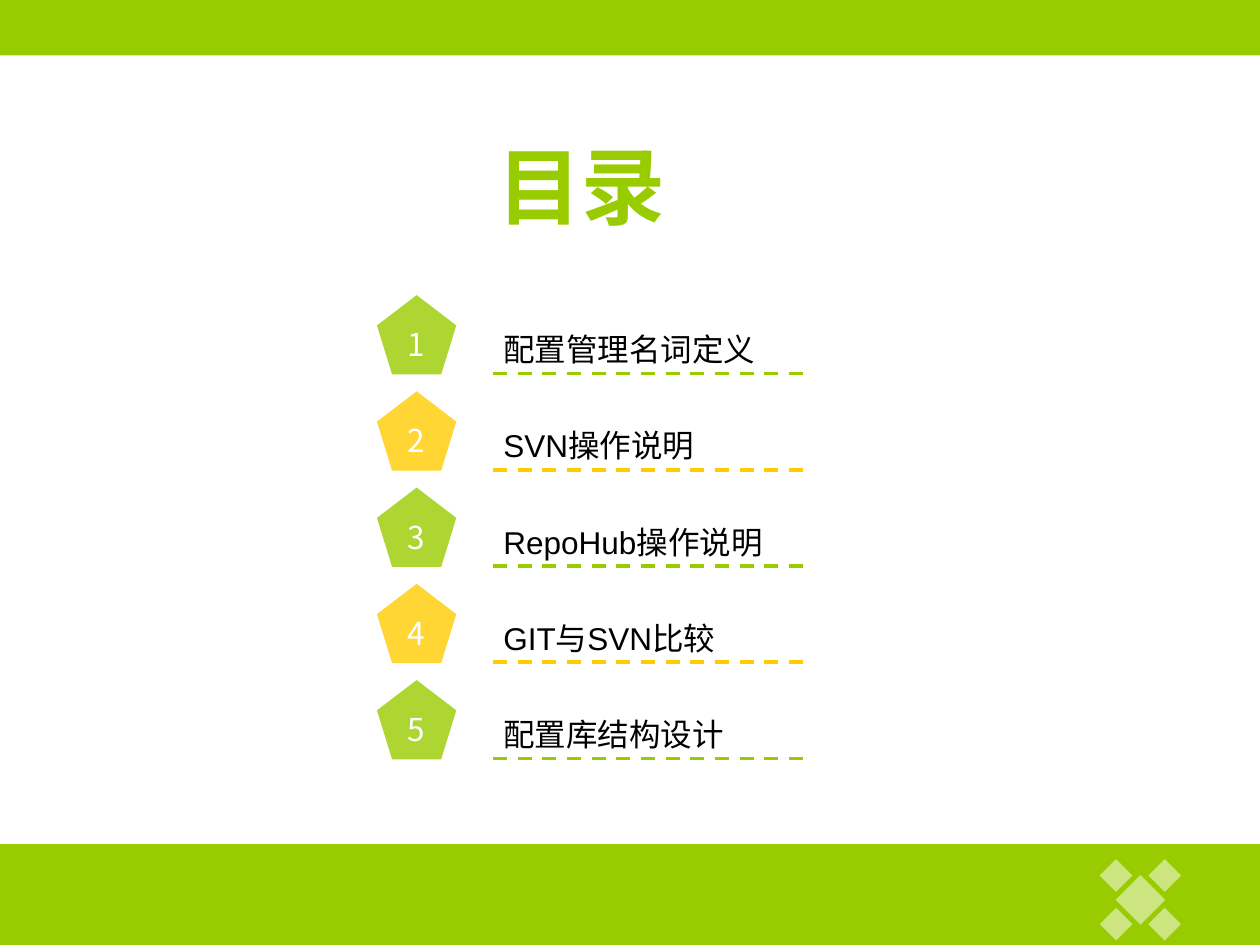
from itertools import product

from lxml.etree import SubElement
from pptx import Presentation
from pptx.dml.color import RGBColor
from pptx.enum.dml import MSO_LINE
from pptx.enum.shapes import MSO_CONNECTOR, MSO_SHAPE
from pptx.enum.text import MSO_ANCHOR, MSO_AUTO_SIZE, PP_ALIGN
from pptx.oxml.ns import qn
from pptx.util import Cm, Pt

GREEN = RGBColor(0x99, 0xCC, 0x00)
YELLOW = RGBColor(0xFF, 0xCC, 0x00)
WHITE = RGBColor(0xFF, 0xFF, 0xFF)
BLACK = RGBColor(0x00, 0x00, 0x00)
TEXT_FONT = "Arial"
NUMBER_FONT = "Noto Sans CJK SC"
TOPICS = ["配置管理名词定义", "SVN操作说明", "RepoHub操作说明", "GIT与SVN比较", "配置库结构设计"]
ROW_PITCH = 1.94


def add_filled(page, kind, left, top, width, height, color, opacity=100):
    """Add a borderless preset shape, with lengths in centimetres."""
    shape = page.shapes.add_shape(kind, Cm(left), Cm(top), Cm(width), Cm(height))
    shape.shadow.inherit = False
    shape.fill.solid()
    shape.fill.fore_color.rgb = color
    shape.line.fill.background()
    if opacity < 100:
        tint = shape._element.spPr.find(qn("a:solidFill")).find(qn("a:srgbClr"))
        SubElement(tint, qn("a:alpha"), val=str(opacity * 1000))
    return shape


def write(frame, words, size, color, font=TEXT_FONT, align=PP_ALIGN.LEFT, bold=False):
    """Write one formatted run into the first paragraph of a text frame."""
    para = frame.paragraphs[0]
    para.alignment = align
    span = para.add_run()
    span.text = words
    span.font.size = Pt(size)
    span.font.name = font
    span.font.bold = bold
    span.font.color.rgb = color


def add_ornament(page, left, top):
    """Draw a large diamond with a small one at each corner."""
    side, small, shift = 1, 0.66, 0.98
    add_filled(page, MSO_SHAPE.DIAMOND, left + 0.32, top + 0.32, side, side, WHITE, 50)
    for column, row in product(range(2), repeat=2):
        add_filled(page, MSO_SHAPE.DIAMOND, left + column * shift, top + row * shift,
                   small, small, WHITE, 50)


def add_bands(page):
    """Draw the top and bottom bands and the footer ornament."""
    add_filled(page, MSO_SHAPE.RECTANGLE, 0, -0.08, 25.4, 1.2, GREEN)
    add_filled(page, MSO_SHAPE.RECTANGLE, 0, 17.02, 25.4, 2.03, GREEN)
    add_ornament(page, 22.17, 17.32)


def set_title(page, words, left, top, width, height):
    """Place and format the title placeholder."""
    title = page.shapes.title
    title.left, title.top, title.width, title.height = map(Cm, (left, top, width, height))
    frame = title.text_frame
    frame.vertical_anchor = MSO_ANCHOR.TOP
    frame.auto_size = MSO_AUTO_SIZE.SHAPE_TO_FIT_TEXT
    write(frame, words, 48, GREEN, align=PP_ALIGN.CENTER, bold=True)


def add_topic(page, number, words, left, top, color):
    """Draw one agenda row: numbered pentagon, dashed rule and label."""
    badge = add_filled(page, MSO_SHAPE.REGULAR_PENTAGON, left, top, 1.6, 1.6, color, 80)
    badge.text_frame.word_wrap = False
    badge.text_frame.vertical_anchor = MSO_ANCHOR.MIDDLE
    write(badge.text_frame, str(number), 18, WHITE, NUMBER_FONT, PP_ALIGN.CENTER)

    rule_left, rule_top = left + 2.34, top + 1.58
    rule = page.shapes.add_connector(MSO_CONNECTOR.STRAIGHT, Cm(rule_left), Cm(rule_top),
                                     Cm(rule_left + 6.4), Cm(rule_top))
    rule.line.color.rgb = color
    rule.line.width = Pt(2)
    rule.line.dash_style = MSO_LINE.DASH
    SubElement(rule._element.spPr, qn("a:effectLst"))

    label = page.shapes.add_textbox(Cm(left + 2.3), Cm(top + 0.58), Cm(8), Cm(1.02))
    label.text_frame.word_wrap = True
    label.text_frame.auto_size = MSO_AUTO_SIZE.SHAPE_TO_FIT_TEXT
    write(label.text_frame, words, 18, BLACK)


def add_agenda(page, left, top):
    """Stack the agenda rows at an equal pitch in alternating colours."""
    for index, words in enumerate(TOPICS):
        color = (GREEN, YELLOW)[index % 2]
        add_topic(page, index + 1, words, left, top + index * ROW_PITCH, color)


def main():
    """Build the agenda slide and save the deck."""
    deck = Presentation()
    deck.slide_width, deck.slide_height = Cm(25.4), Cm(19.05)
    page = deck.slides.add_slide(deck.slide_layouts.get_by_name("Title Only"))
    add_bands(page)
    set_title(page, "目录", 7.77, 2.59, 7.92, 2.29)
    add_agenda(page, 7.6, 5.95)
    deck.save("out.pptx")


if __name__ == "__main__":
    main()
